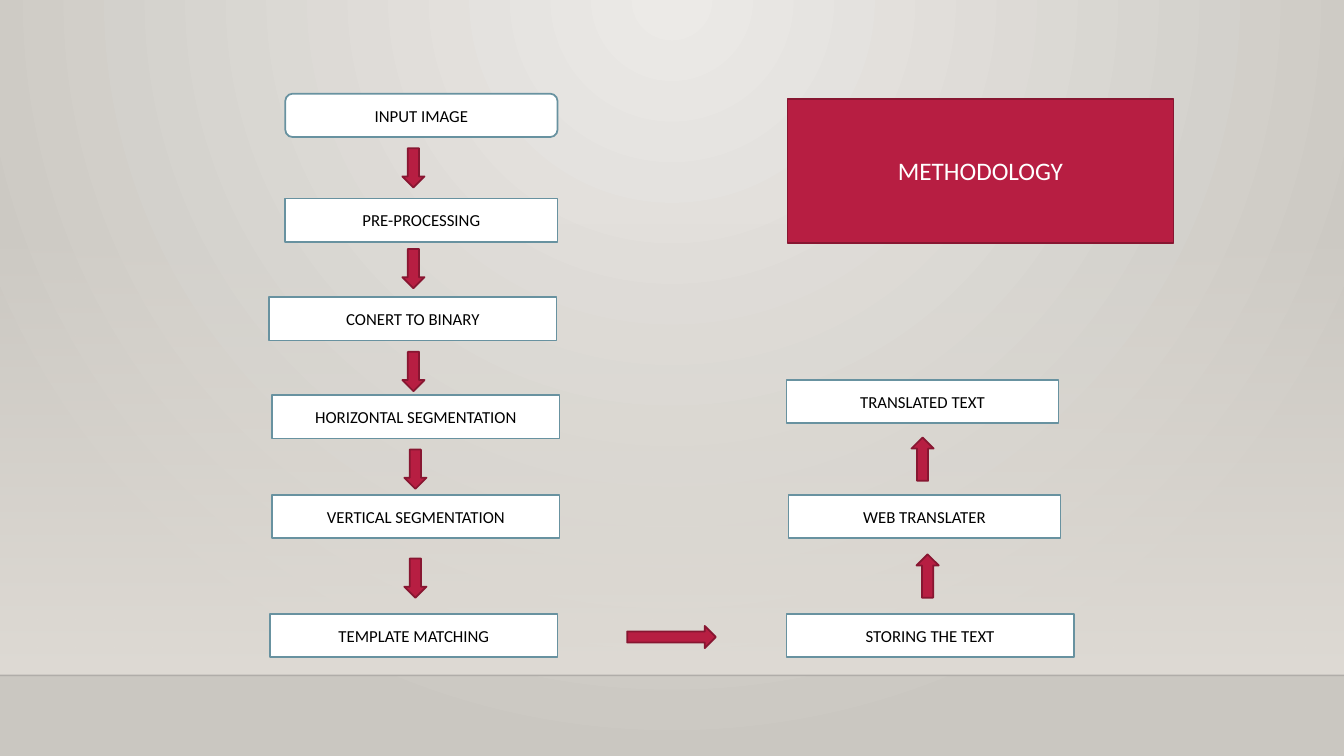
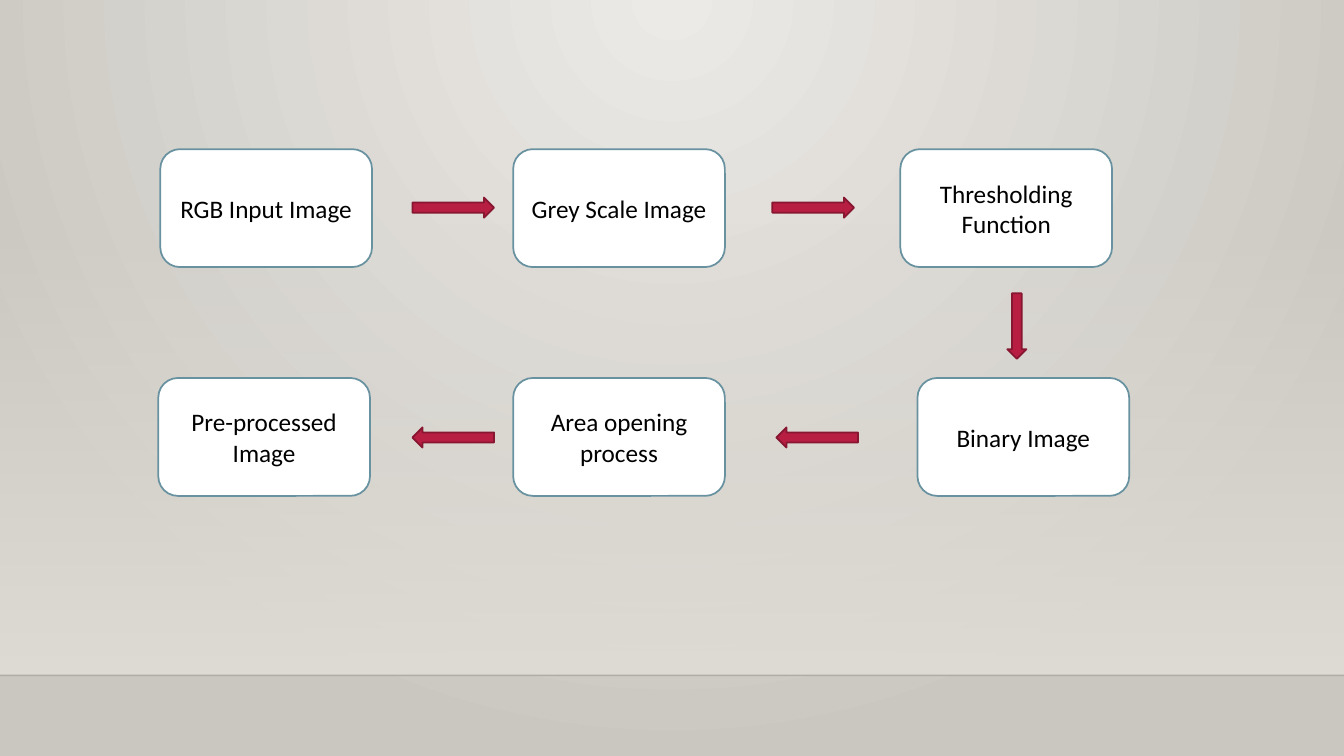
from dataclasses import dataclass

from lxml.etree import SubElement
from pptx import Presentation
from pptx.dml.color import RGBColor
from pptx.enum.shapes import MSO_CONNECTOR as CONN, MSO_SHAPE as SHAPE
from pptx.enum.text import MSO_ANCHOR as ANCHOR, PP_ALIGN as ALIGN
from pptx.oxml.ns import qn
from pptx.util import Inches, Pt

WIDTH, HEIGHT = 13.33, 7.5
FLOOR_TOP, GLOW_TOP = 6.7, 2.21
FONT = "Calibri"
WHITE, BLACK = "FFFFFF", "000000"
STEEL, CRIMSON, MAROON = "6892A0", "B71E42", "871631"
BG_LIGHT, BG_DARK, GLOW, RULE = "ECEAE7", "CAC7C1", "DFDBD5", "000001"


@dataclass(frozen=True)
class Box:
    text: str
    left: float
    top: float
    width: float
    height: float
    size: int
    shape: SHAPE = SHAPE.RECTANGLE
    fill: str = WHITE
    line: str = STEEL
    color: str = BLACK


@dataclass(frozen=True)
class Arrow:
    shape: SHAPE
    left: float
    top: float
    width: float
    height: float


def rgb(value: str) -> RGBColor:
    return RGBColor.from_string(value)


def set_alpha(element, percent: int) -> None:
    color = next(element.iter(qn("a:srgbClr")))
    SubElement(color, qn("a:alpha"), val=str(percent * 1000))


def set_gradient(fill, start: str, end: str) -> None:
    fill.gradient()
    for stop, color in zip(fill.gradient_stops, (start, end)):
        stop.color.rgb = rgb(color)


def add_shape(slide, shape: SHAPE, left: float, top: float, width: float,
              height: float, fill: str, line: str):
    sp = slide.shapes.add_shape(
        shape, Inches(left), Inches(top), Inches(width), Inches(height))
    sp.shadow.inherit = False
    sp.fill.solid()
    sp.fill.fore_color.rgb = rgb(fill)
    sp.line.color.rgb = rgb(line)
    sp.line.width = Pt(1.25)
    return sp


def draw_box(slide, box: Box) -> None:
    sp = add_shape(slide, box.shape, box.left, box.top, box.width, box.height,
                   box.fill, box.line)
    tf = sp.text_frame
    tf.word_wrap = True
    tf.vertical_anchor = ANCHOR.MIDDLE
    p = tf.paragraphs[0]
    p.text = box.text
    p.alignment = ALIGN.CENTER
    p.font.name = FONT
    p.font.size = Pt(box.size)
    p.font.color.rgb = rgb(box.color)


def draw_arrow(slide, arrow: Arrow) -> None:
    add_shape(slide, arrow.shape, arrow.left, arrow.top, arrow.width,
              arrow.height, CRIMSON, MAROON)


def style_master(prs, slide) -> None:
    master = prs.slide_master
    set_gradient(master.background.fill, BG_LIGHT, BG_DARK)
    grad = next(master.element.iter(qn("a:gradFill")))
    grad.remove(grad.find(qn("a:lin")))
    circle = SubElement(grad, qn("a:path"), path="circle")
    SubElement(circle, qn("a:fillToRect"),
               l="43000", t="0", r="43000", b="100000")

    glow = add_shape(slide, SHAPE.RECTANGLE, 0, GLOW_TOP, WIDTH,
                     FLOOR_TOP - GLOW_TOP, GLOW, GLOW)
    set_gradient(glow.fill, GLOW, GLOW)
    glow.fill.gradient_angle = 270
    set_alpha(glow.element, 0)
    glow.line.fill.background()

    rule = slide.shapes.add_connector(
        CONN.STRAIGHT, 0, Inches(FLOOR_TOP), Inches(WIDTH), Inches(FLOOR_TOP))
    rule.line.color.rgb = rgb(RULE)
    rule.line.width = Pt(1)
    set_alpha(rule.element, 20)
    SubElement(rule.element.spPr, qn("a:effectLst"))

    for sp in (glow, rule):
        master.shapes.element.append(sp.element)


def draw_methodology(slide) -> None:
    narrow, wide, height = 2.7, 2.85, 0.43
    steps = [
        ("INPUT IMAGE", 2.83, 0.93, narrow, SHAPE.ROUNDED_RECTANGLE),
        ("PRE-PROCESSING", 2.83, 1.97, narrow, SHAPE.RECTANGLE),
        ("CONERT TO BINARY", 2.67, 2.95, wide, SHAPE.RECTANGLE),
        ("HORIZONTAL SEGMENTATION", 2.7, 3.92, wide, SHAPE.RECTANGLE),
        ("VERTICAL SEGMENTATION", 2.7, 4.91, wide, SHAPE.RECTANGLE),
        ("TEMPLATE MATCHING", 2.68, 6.09, wide, SHAPE.RECTANGLE),
        ("STORING THE TEXT", 7.8, 6.09, wide, SHAPE.RECTANGLE),
        ("WEB TRANSLATER", 7.82, 4.91, narrow, SHAPE.RECTANGLE),
        ("TRANSLATED TEXT", 7.8, 3.77, narrow, SHAPE.RECTANGLE),
    ]
    for text, left, top, width, shape in steps:
        draw_box(slide, Box(text, left, top, width, height, 12, shape))
    draw_box(slide, Box("METHODOLOGY", 7.81, 0.98, 3.83, 1.43, 18,
                        fill=CRIMSON, line=MAROON, color=WHITE))

    thick = 0.22
    for left, top in [(3.99, 1.47), (3.99, 2.47), (3.99, 3.49),
                      (4.01, 4.46), (4.01, 5.54)]:
        draw_arrow(slide, Arrow(SHAPE.DOWN_ARROW, left, top, thick, 0.39))
    draw_arrow(slide, Arrow(SHAPE.RIGHT_ARROW, 6.22, 6.21, 0.88, thick))
    for left, top in [(9.09, 5.5), (9.04, 4.34)]:
        draw_arrow(slide, Arrow(SHAPE.UP_ARROW, left, top, thick, 0.43))


def draw_preprocessing(slide) -> None:
    upper, lower = 1.48, 3.75
    stages = [
        ("RGB Input Image", 1.59, upper),
        ("Grey Scale Image", 5.09, upper),
        ("Thresholding Function", 8.93, upper),
        ("Binary Image", 9.1, lower),
        ("Area opening process", 5.09, lower),
        ("Pre-processed Image", 1.57, lower),
    ]
    for text, left, top in stages:
        draw_box(slide, Box(text, left, top, 2.1, 1.17, 18,
                            SHAPE.ROUNDED_RECTANGLE))

    for shape, left, top in [(SHAPE.RIGHT_ARROW, 4.09, 1.96),
                             (SHAPE.RIGHT_ARROW, 7.66, 1.96),
                             (SHAPE.LEFT_ARROW, 7.7, 4.24),
                             (SHAPE.LEFT_ARROW, 4.09, 4.24)]:
        draw_arrow(slide, Arrow(shape, left, top, 0.81, 0.2))
    draw_arrow(slide, Arrow(SHAPE.DOWN_ARROW, 9.99, 2.91, 0.19, 0.65))


def main() -> None:
    prs = Presentation()
    prs.slide_width, prs.slide_height = Inches(WIDTH), Inches(HEIGHT)
    blank = prs.slide_layouts[6]
    methodology, preprocessing = (
        prs.slides.add_slide(blank) for _ in range(2))
    style_master(prs, methodology)
    draw_methodology(methodology)
    draw_preprocessing(preprocessing)
    prs.save("out.pptx")


if __name__ == "__main__":
    main()
